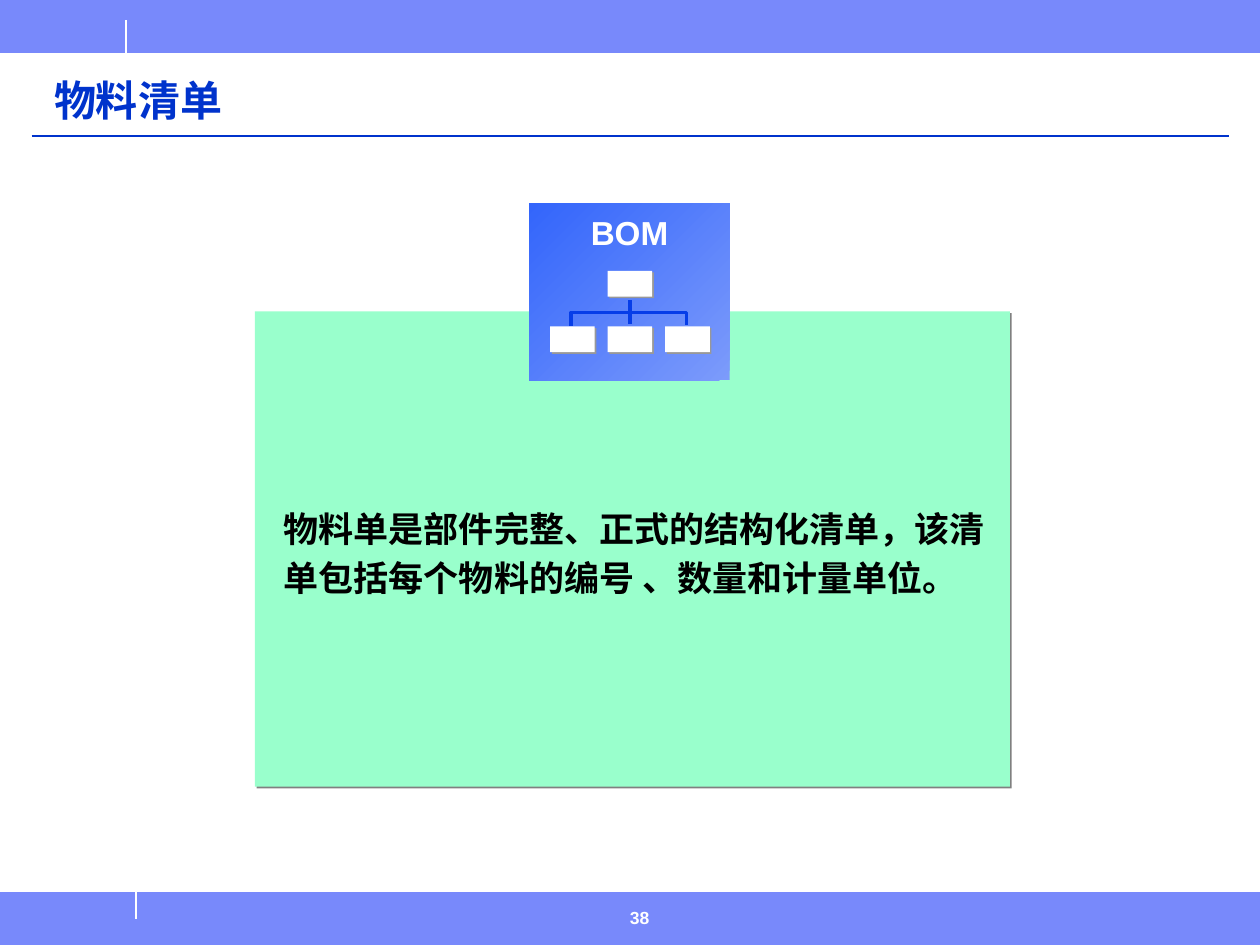
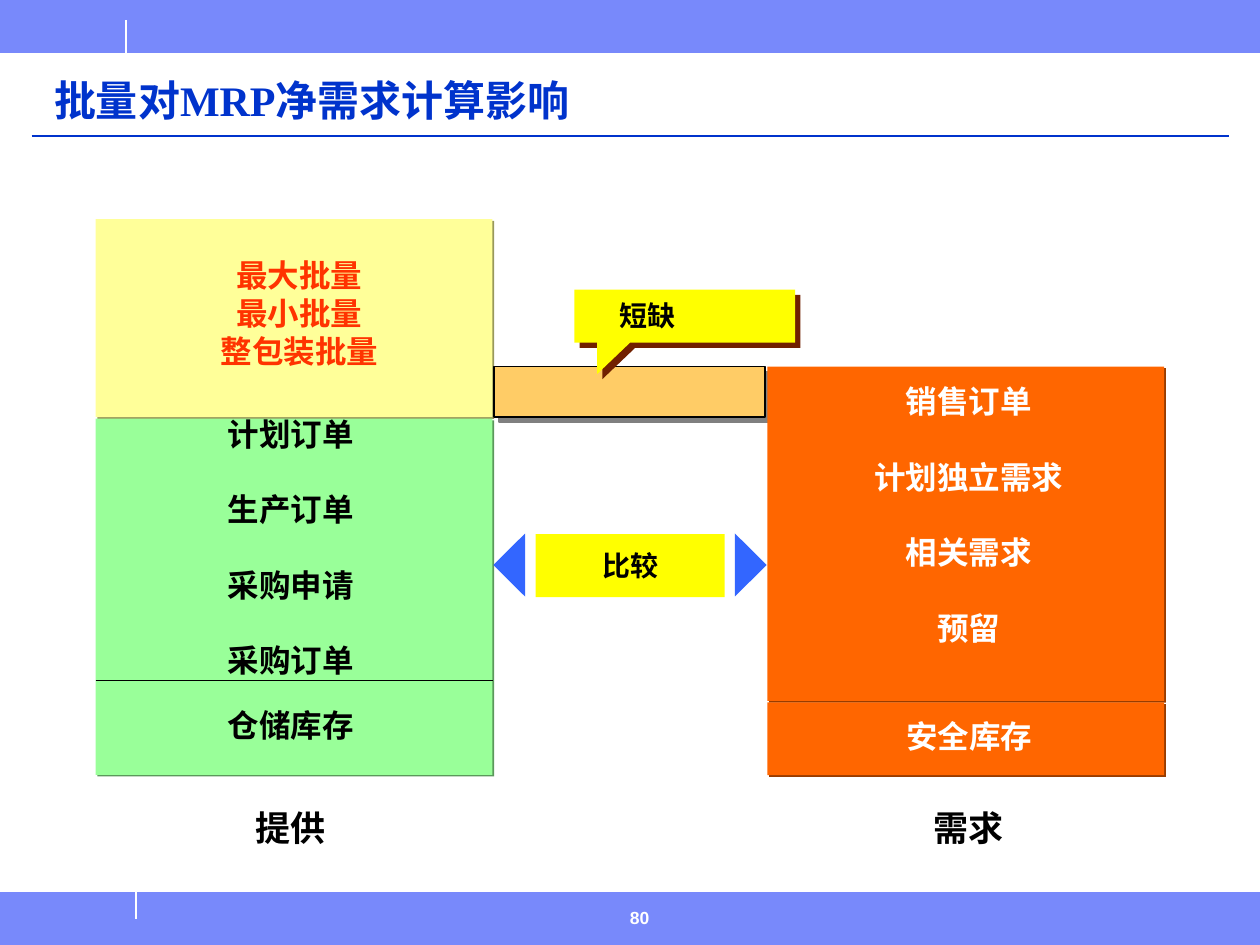
"""Build two slides on bills of material and lot sizes in MRP."""
import dataclasses

import lxml.etree
import pptx
import pptx.dml.color
import pptx.enum.dml
import pptx.enum.shapes
import pptx.enum.text
import pptx.oxml.ns
import pptx.util

Cm = pptx.util.Cm
Pt = pptx.util.Pt
SHAPE = pptx.enum.shapes.MSO_SHAPE
ALIGN = pptx.enum.text.PP_ALIGN
ANCHOR = pptx.enum.text.MSO_ANCHOR


@dataclasses.dataclass(frozen=True)
class Theme:
    """Colours, fonts and type sizes of the deck."""
    white: str = "FFFFFF"
    black: str = "000000"
    band: str = "7889FB"
    title: str = "0033CC"
    panel: str = "99FFCC"
    bom_light: str = "7C9BFB"
    bom_dark: str = "3365FB"
    tree: str = "063DE8"
    lots: str = "FFFF99"
    lots_text: str = "FF3300"
    supply: str = "99FF99"
    shortage: str = "FFCC66"
    demand: str = "FF6600"
    arrow: str = "3366FF"
    callout: str = "FFFF00"
    grey_shadow: str = "808080"
    node_shadow: str = "989898"
    lots_shadow: str = "98985B"
    supply_shadow: str = "5B985B"
    demand_shadow: str = "983C00"
    callout_shadow: str = "712000"
    body_font: str = "Arial"
    title_font: str = "Times New Roman"
    title_size: float = 24
    large: float = 20
    bom_size: float = 19
    body: float = 18
    small: float = 16
    page: float = 10
    near: float = 1.4
    far: float = 4.2


THEME = Theme()


def rgb(colour):
    """Turn a hex string into a colour."""
    return pptx.dml.color.RGBColor.from_string(colour)


def style(sp, fill=None, line=None, width=1, shadow=None, distance=THEME.near):
    """Set the fill, outline and shadow of a shape."""
    if fill:
        sp.fill.solid()
        sp.fill.fore_color.rgb = rgb(fill)
    else:
        sp.fill.background()
    if line:
        sp.line.color.rgb = rgb(line)
        sp.line.width = Pt(width)
    else:
        sp.line.fill.background()
    sp.shadow.inherit = False
    if shadow:
        qn = pptx.oxml.ns.qn
        effects = sp._element.spPr.find(qn("a:effectLst"))
        outer = lxml.etree.SubElement(
            effects, qn("a:outerShdw"), dist=str(int(Pt(distance))),
            dir="2700000", algn="ctr", rotWithShape="0")
        lxml.etree.SubElement(outer, qn("a:srgbClr"), val=shadow)
    return sp


def add_box(slide, x, y, w, h, fill, kind=SHAPE.RECTANGLE, **look):
    """Add a preset shape, measured in centimetres."""
    sp = slide.shapes.add_shape(kind, Cm(x), Cm(y), Cm(w), Cm(h))
    return style(sp, fill, **look)


def add_outline(slide, points, close=True, **look):
    """Add a freeform through the given points."""
    first, *rest = [(Cm(x), Cm(y)) for x, y in points]
    builder = slide.shapes.build_freeform(*first)
    builder.add_line_segments(rest, close=close)
    return style(builder.convert_to_shape(), **look)


def add_line(slide, x1, y1, x2, y2, colour, width=1):
    """Add a straight line without shadow."""
    line = slide.shapes.add_connector(
        pptx.enum.shapes.MSO_CONNECTOR.STRAIGHT, Cm(x1), Cm(y1), Cm(x2), Cm(y2))
    line.line.color.rgb = rgb(colour)
    line.line.width = Pt(width)
    lxml.etree.SubElement(line._element.spPr, pptx.oxml.ns.qn("a:effectLst"))


def write(sp, text, size=THEME.body, colour=THEME.black, font=THEME.body_font,
          align=ALIGN.CENTER, anchor=ANCHOR.TOP, wrap=False, spacing=None,
          gap=0, inset=(0.25, 0.13)):
    """Write one bold paragraph per line of text into a shape."""
    tf = sp.text_frame
    tf.word_wrap = wrap
    tf.vertical_anchor = anchor
    tf.margin_left = tf.margin_right = Cm(inset[0])
    tf.margin_top = tf.margin_bottom = Cm(inset[1])
    for i, line in enumerate(text.split("\n")):
        p = tf.add_paragraph() if i else tf.paragraphs[0]
        p.alignment = align
        if spacing:
            p.line_spacing = spacing
        if i and gap:
            p.space_before = Pt(gap)
        r = p.add_run()
        r.text = line
        r.font.name = font
        r.font.size = Pt(size)
        r.font.bold = True
        r.font.color.rgb = rgb(colour)


def add_text(slide, x, y, w, h, text, **format):
    """Add a text box, measured in centimetres."""
    write(slide.shapes.add_textbox(Cm(x), Cm(y), Cm(w), Cm(h)), text, **format)


def add_slide(prs, title, page):
    """Add a slide with bands, rules, title and page number."""
    slide = prs.slides.add_slide(prs.slide_layouts[6])
    for y in (0, 18):
        add_box(slide, 0, y, 25.4, 1.05, THEME.band, line=THEME.band)
    add_line(slide, 2.54, 0.41, 2.54, 1.07, THEME.white)
    add_line(slide, 2.74, 17.98, 2.74, 18.52, THEME.white)
    add_line(slide, 0.64, 2.74, 24.77, 2.74, THEME.title)
    add_text(slide, 0.84, 1.27, 23.32, 1.4, title, size=THEME.title_size,
             colour=THEME.title, font=THEME.title_font, align=ALIGN.LEFT,
             anchor=ANCHOR.BOTTOM, wrap=True, spacing=0.9)
    add_text(slide, 12.45, 18.16, 2.11, 0.89, str(page), size=THEME.page,
             colour=THEME.white, align=ALIGN.LEFT, wrap=True)
    return slide


def add_bom_icon(slide):
    """Draw the BOM tile with its small tree."""
    tile = add_box(slide, 10.67, 4.11, 4.04, 3.56, THEME.bom_dark)
    tile.fill.gradient()
    tile.fill.gradient_angle = 135
    for stop, colour in zip(tile.fill.gradient_stops,
                            (THEME.bom_light, THEME.bom_dark)):
        stop.color.rgb = rgb(colour)
    write(tile, "BOM", size=THEME.bom_size, colour=THEME.white,
          inset=(0.3, 0.18))
    add_outline(slide, [(11.51, 6.58), (11.51, 6.3), (13.84, 6.3), (13.84, 6.56)],
                close=False, line=THEME.tree, width=2)
    add_line(slide, 12.7, 6.05, 12.7, 6.53, THEME.tree, 2)
    children = [(11.09 + 1.16 * i, 6.58) for i in range(3)]
    for x, y in [(12.25, 5.46), *children]:
        add_box(slide, x, y, 0.9, 0.52, THEME.white, shadow=THEME.node_shadow)


def build_bom_slide(prs):
    """Define the bill of material."""
    slide = add_slide(prs, "物料清单", 38)
    panel = add_box(slide, 5.14, 6.28, 15.22, 9.58, THEME.panel,
                    shadow=THEME.grey_shadow)
    write(panel, "物料单是部件完整、正式的结构化清单，该清\n"
          "单包括每个物料的编号 、数量和计量单位。", size=THEME.large,
          align=ALIGN.LEFT, anchor=ANCHOR.MIDDLE, spacing=Pt(28),
          inset=(0.58, 0.13))
    add_bom_icon(slide)


def add_comparison(slide):
    """Draw the comparison label between two arrowheads."""
    for x, angle in ((9.63, 270), (14.5, 90)):
        head = add_box(slide, x, 11.07, 1.27, 0.64, THEME.arrow,
                       kind=SHAPE.ISOSCELES_TRIANGLE)
        head.rotation = angle
    label = add_box(slide, 10.8, 10.77, 3.81, 1.27, THEME.callout)
    write(label, "比较", size=THEME.small, anchor=ANCHOR.MIDDLE)


def add_shortage(slide):
    """Draw the shortage bar and its callout."""
    add_box(slide, 9.96, 7.39, 5.46, 1.02, THEME.shortage, line=THEME.black,
            shadow=THEME.grey_shadow, distance=THEME.far)
    left, right, top, bottom = 11.58, 16.03, 5.84, 6.91
    add_outline(slide, [(12.04, 7.54), (12.04, bottom), (left, bottom),
                        (left, top), (right, top), (right, bottom),
                        (12.7, bottom)],
                fill=THEME.callout, shadow=THEME.callout_shadow,
                distance=THEME.far)
    add_text(slide, 12.24, 5.89, 1.63, 0.91, "短缺", size=THEME.small,
             align=ALIGN.LEFT)


def build_lot_slide(prs):
    """Compare supply with demand."""
    slide = add_slide(prs, "批量对MRP净需求计算影响", 80)
    supply_x, demand_x, width, order_gap = 1.93, 15.47, 8, 21.6
    add_box(slide, supply_x, 4.42, width, 3.99, THEME.lots,
            shadow=THEME.lots_shadow)
    add_box(slide, supply_x, 8.44, width, 7.18, THEME.supply,
            shadow=THEME.supply_shadow)
    add_shortage(slide)
    add_line(slide, supply_x, 13.72, supply_x + width, 13.72, THEME.black)
    for y, h in ((7.39, 6.74), (14.16, 1.47)):
        add_box(slide, demand_x, y, width, h, THEME.demand,
                shadow=THEME.demand_shadow)
    add_comparison(slide)
    add_text(slide, 3.23, 5.03, 5.61, 2.54, "最大批量\n最小批量\n整包装批量",
             colour=THEME.lots_text, wrap=True)
    add_text(slide, 4.34, 8.23, 3.05, 5.59,
             "计划订单\n生产订单\n采购申请\n采购订单", gap=order_gap)
    add_text(slide, 4.34, 14.1, 3.05, 1.02, "仓储库存")
    add_text(slide, 17.37, 7.57, 4.32, 5.59,
             "销售订单\n计划独立需求\n相关需求\n预留",
             colour=THEME.white, gap=order_gap)
    add_text(slide, 18.01, 14.33, 3.05, 1.02, "安全库存", colour=THEME.white)
    for x, caption in ((4.35, "提供"), (18.02, "需求")):
        add_text(slide, x, 16.13, 3, 1.12, caption, size=THEME.large)


def main():
    """Build and save the deck."""
    prs = pptx.Presentation()
    prs.slide_width, prs.slide_height = Cm(25.4), Cm(19.05)
    build_bom_slide(prs)
    build_lot_slide(prs)
    prs.save("out.pptx")


if __name__ == "__main__":
    main()
